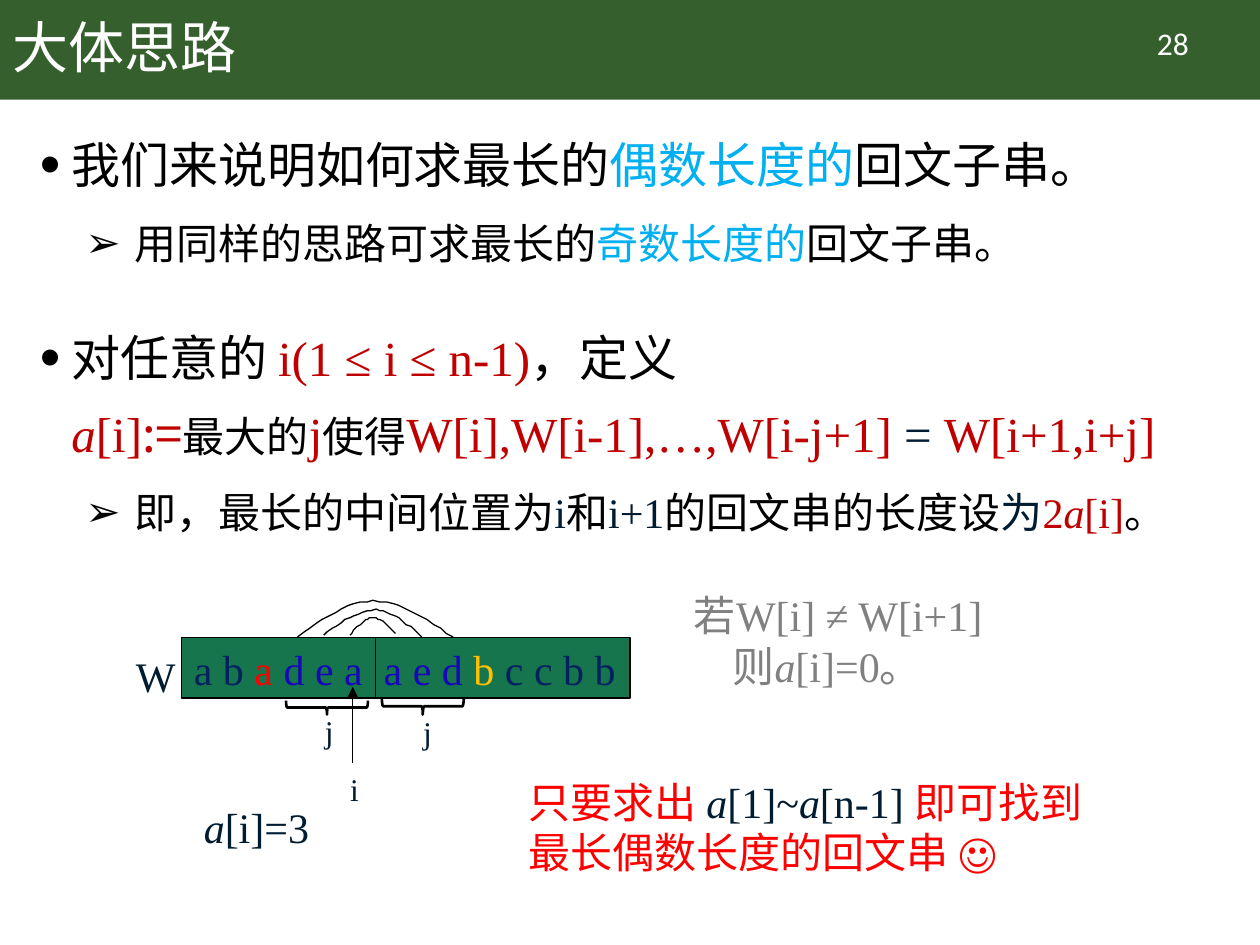
from lxml.etree import SubElement
from pptx import Presentation
from pptx.dml.color import RGBColor
from pptx.enum.shapes import MSO_CONNECTOR as Connector, MSO_SHAPE as Preset
from pptx.enum.text import MSO_ANCHOR as Anchor, PP_ALIGN as Align
from pptx.oxml.ns import qn
from pptx.util import Pt

SANS, SERIF, LATIN = "Noto Sans CJK SC", "Times New Roman", "Calibri"
BLACK, WHITE, NAVY, GREY = "000000", "FFFFFF", "001C30", "808080"
RED, DARK_RED, SKY = "FF0000", "C00000", "00B0F0"
INDIGO, BLUE, GOLD = "002060", "1807B9", "FFC000"
HEADER_GREEN, STRIP_GREEN = "365F2E", "16754D"


def rgb(value):
    return RGBColor.from_string(value)


def points(*values):
    return [Pt(value) for value in values]


def style(font, size=None, name=None, color=None, italic=None):
    if size:
        font.size = Pt(size)
    if name:
        font.name = name
    if color:
        font.color.rgb = rgb(color)
    if italic:
        font.italic = True


def serif(text, color=None, italic=None):
    return text, {"name": SERIF, "color": color, "italic": italic}


def write(paragraph, parts, size, name, color):
    """Fill a paragraph with strings or (text, overrides) pairs; "\\n" breaks the line."""
    style(paragraph.font, size, name, color)
    SubElement(paragraph.font._rPr, qn("a:ea"), typeface=SANS)
    for part in parts:
        text, overrides = (part, {}) if isinstance(part, str) else part
        if text == "\n":
            paragraph.add_line_break()
            continue
        run = paragraph.add_run()
        run.text = text
        style(run.font, **overrides)


def add_text(slide, box, parts, size, name=SERIF, color=NAVY):
    frame = slide.shapes.add_textbox(*points(*box)).text_frame
    frame.word_wrap = True
    write(frame.paragraphs[0], parts, size, name, color)
    return frame


def add_preset(slide, preset, box, fill=None, line=None, line_width=0.75):
    shape = slide.shapes.add_shape(preset, *points(*box))
    shape.shadow.inherit = False
    if fill:
        shape.fill.solid()
        shape.fill.fore_color.rgb = rgb(fill)
    else:
        shape.fill.background()
    set_line(shape.line, line, line_width)
    return shape


def set_line(line, color, width=0.75):
    if color:
        line.color.rgb = rgb(color)
        line.width = Pt(width)
    else:
        line.fill.background()


def add_line(slide, start, end, arrow=False):
    connector = slide.shapes.add_connector(Connector.STRAIGHT, *points(*start, *end))
    set_line(connector.line, BLACK)
    if arrow:
        SubElement(connector.line._get_or_add_ln(), qn("a:tailEnd"), type="triangle")
    SubElement(connector._element.spPr, qn("a:effectLst"))


def add_arc(slide, start, apex, end, steps=12):
    """Draw an open arch whose two halves rise from the ends to the apex."""
    def half(foot):
        for step in range(steps + 1):
            t = step / steps
            rise = 1.5 * t - 0.5 * t ** 3
            yield (foot[0] + t * (apex[0] - foot[0]), foot[1] + rise * (apex[1] - foot[1]))

    curve = list(half(start)) + list(half(end))[-2::-1]
    builder = slide.shapes.build_freeform(*curve[0], scale=Pt(1))
    builder.add_line_segments(curve[1:], close=False)
    shape = builder.convert_to_shape()
    shape.shadow.inherit = False
    shape.fill.background()
    set_line(shape.line, BLACK)


def add_header(slide, left, top, width, height):
    add_preset(slide, Preset.RECTANGLE, (left, top, width, height), HEADER_GREEN)
    title = add_text(slide, (left, top, 620, height), ["大体思路"], 32, LATIN, WHITE)
    title.vertical_anchor = Anchor.MIDDLE
    title.paragraphs[0].line_spacing = 0.9
    number = add_text(slide, (left + 627, top + 10, 86.5, 29), ["28"], 18, LATIN, WHITE)
    number.paragraphs[0].alignment = Align.CENTER


def set_bullet(paragraph, level):
    margin, indent, mark = [(18, -18, "•"), (54, -28, "➢")][level]
    paragraph.level = level
    properties = paragraph._p.get_or_add_pPr()
    properties.set("marL", str(Pt(margin)))
    properties.set("indent", str(Pt(indent)))
    color = SubElement(properties, qn("a:buClr"))
    SubElement(color, qn("a:srgbClr"), val=BLACK)
    if level == 0:
        SubElement(properties, qn("a:buSzPct"), val="120000")
    SubElement(properties, qn("a:buFont"), typeface="Arial")
    SubElement(properties, qn("a:buChar"), char=mark)


def add_body(slide, box):
    small = {"size": 24}
    items = [
        (0, 0, ["我们来说明如何求最长的", ("偶数长度的", {"color": SKY}), "回文子串。"]),
        (1, 5, ["用同样的思路可求最长的", ("奇数长度的", {"color": SKY}), "回文子串。"]),
        (0, 24, ["对任意的 ", serif("i(1 ≤ i ≤ n-1)", DARK_RED), "，定义", "\n",
                 serif("a", DARK_RED, True), serif("[i]", DARK_RED),
                 (":=", {"color": DARK_RED}), ("最大的", small), serif("j", DARK_RED),
                 ("使得", small), serif("W[i],W[i-1],…,W[i-j+1] ", DARK_RED),
                 serif("= ", NAVY), serif("W[i+1,i+j]", DARK_RED)]),
        (1, 5, ["即，最长的中间位置为", serif("i", NAVY), "和", serif("i+1", NAVY),
                "的回文串的长度设", serif("为", NAVY), serif("2", DARK_RED),
                serif("a", DARK_RED, True), serif("[i]", DARK_RED), serif("。")]),
    ]
    frame = slide.shapes.add_textbox(*points(*box)).text_frame
    frame.word_wrap = True
    for index, (level, space, parts) in enumerate(items):
        paragraph = frame.add_paragraph() if index else frame.paragraphs[0]
        paragraph.line_spacing = 1.3
        paragraph.space_before = Pt(space)
        set_bullet(paragraph, level)
        write(paragraph, parts, (28, 24)[level], SANS, BLACK)


def add_strip(slide, box):
    strip = add_preset(slide, Preset.RECTANGLE, box, STRIP_GREEN, BLACK)
    strip.text_frame.vertical_anchor = Anchor.TOP
    paragraph = strip.text_frame.paragraphs[0]
    paragraph.alignment = Align.LEFT
    tabs = SubElement(paragraph._p.get_or_add_pPr(), qn("a:tabLst"))
    SubElement(tabs, qn("a:tab"), pos=str(Pt(108.5)), algn="l")
    letters = [("a b ", INDIGO), ("a ", RED), ("d e a\ta e d ", BLUE),
               ("b", GOLD), (" c c b b", INDIGO)]
    write(paragraph, [(text, {"color": color}) for text, color in letters], 24, SERIF, INDIGO)


def add_word_diagram(slide, left, top):
    def place(x, y, *size):
        return (left + x, top + y, *size)

    add_strip(slide, place(33.7, 21.3, 256.3, 34.6))
    add_line(slide, place(144.6, 21.3), place(144.6, 55.9))
    for x, y, width in [(112.9, 37.9, 7.9), (166.9, 37.2, 9.4)]:
        brace = add_preset(slide, Preset.LEFT_BRACE, place(x, y, width, 46.8),
                           line=BLACK, line_width=1.5)
        brace.rotation = 270
    for arc in [((130.2, 19.9), (143.1, 9.8), (156.1, 19.2)),
                ((115, 19.9), (144.6, 5.5), (171.2, 21.3)),
                ((99.9, 20.6), (143.1, 0.4), (189.2, 21.3))]:
        add_arc(slide, *(place(*point) for point in arc))
    for text, x, y in [("j", 108.6, 60.2), ("j", 164.7, 60.9), ("i", 123, 93.3)]:
        add_text(slide, place(x, y, 19, 29), [text], 18)
    add_line(slide, place(131.6, 93.3), place(131.6, 49.4), arrow=True)
    add_text(slide, place(0.6, 24.9, 40, 36), ["W"], 24)
    add_text(slide, place(39.4, 111.3, 80, 36), [serif("a", italic=True), "[i]=3"], 24)


def add_mismatch_note(slide, box):
    frame = add_text(slide, box, [("若", {"name": SANS}), "W[i] ≠ W[i+1]"], 24, color=GREY)
    result = frame.add_paragraph()
    result._p.get_or_add_pPr().set("marL", str(Pt(22)))
    write(result, [("则", {"name": SANS}), serif("a", italic=True), "[i]=0。"], 24, SERIF, GREY)


def add_conclusion(slide, box):
    parts = ["只要求出 ", serif("a", NAVY, True), serif("[1]~", NAVY), serif("a", NAVY, True),
             serif("[n-1] ", NAVY), "即可找到最长偶数长度的回文串 ☺"]
    add_text(slide, box, parts, 24, SANS, RED)


def main():
    presentation = Presentation()
    presentation.slide_width, presentation.slide_height = points(720, 540)
    slide = presentation.slides.add_slide(presentation.slide_layouts[6])
    add_header(slide, 0, 0, 720, 57)
    add_body(slide, (15.8, 63.4, 689, 466))
    add_mismatch_note(slide, (389.5, 333.4, 201.6, 65.5))
    add_word_diagram(slide, 70, 343)
    add_conclusion(slide, (295.2, 440, 352.8, 65.5))
    presentation.save("out.pptx")


if __name__ == "__main__":
    main()
